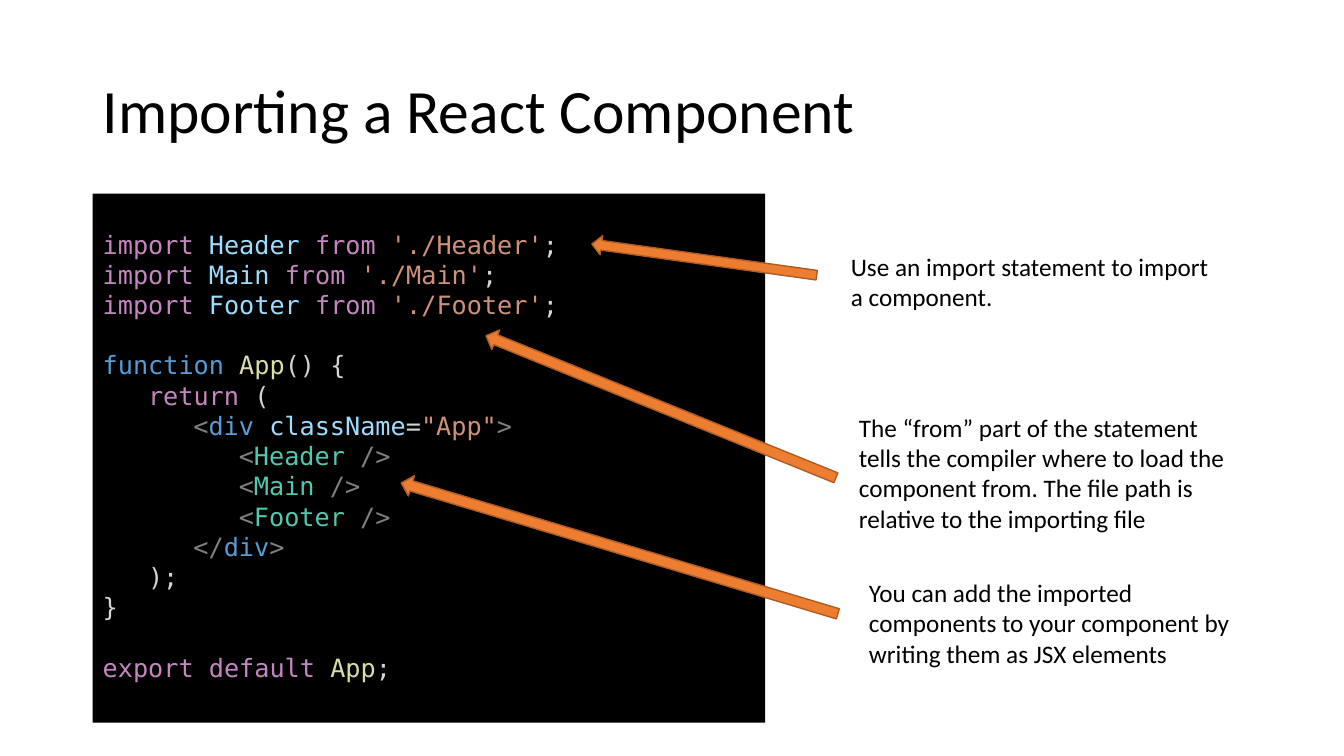
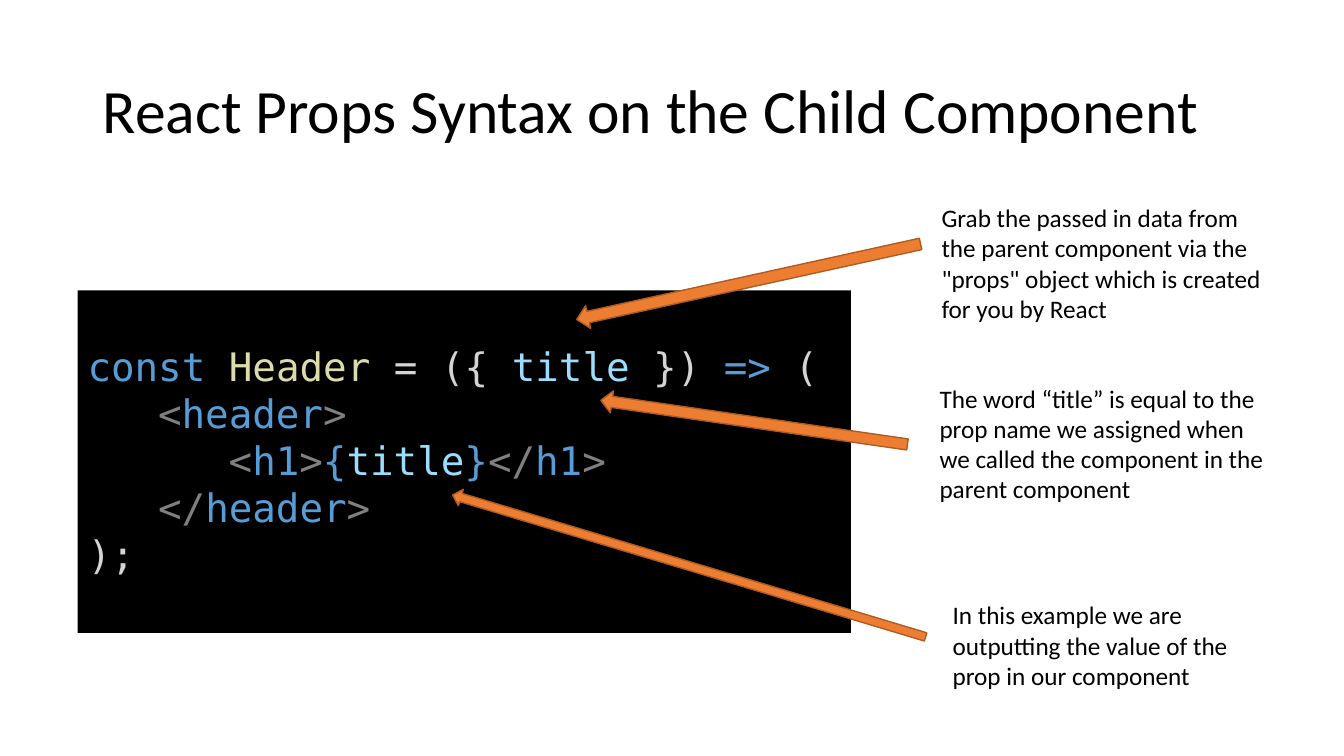
import math
from dataclasses import dataclass

from pptx import Presentation
from pptx.dml.color import RGBColor
from pptx.enum.shapes import MSO_SHAPE
from pptx.enum.text import MSO_ANCHOR, PP_ALIGN
from pptx.util import Emu, Pt

PX = 9144  # EMU in one px, 100 px to the inch
BLANK_LAYOUT = 6
RECTANGLE = MSO_SHAPE.RECTANGLE
RIGHT_ARROW = MSO_SHAPE.RIGHT_ARROW
TOP, MIDDLE = MSO_ANCHOR.TOP, MSO_ANCHOR.MIDDLE
LEFT = PP_ALIGN.LEFT


@dataclass(frozen=True)
class Theme:
    # Fonts and type sizes
    body_font: str = "Calibri"
    code_font: str = "DejaVu Sans Mono"
    title_size: int = 44
    note_size: int = 18
    code_leading: float = 1.2
    code_advance: float = 0.6
    # Slide colours
    ink: str = "000000"
    paper: str = "FFFFFF"
    code_panel: str = "000000"
    arrow_fill: str = "ED7D31"
    arrow_line: str = "AF5C24"
    # Syntax colours
    control: str = "C586C0"
    keyword: str = "569CD6"
    variable: str = "9CDCFE"
    string: str = "CE9178"
    function: str = "DCDCAA"
    component: str = "4EC9B0"
    bracket: str = "808080"
    plain: str = "D4D4D4"


THEME = Theme()


def px(length):
    return Emu(round(length * PX))


def color(value):
    return RGBColor.from_string(value)


def write(paragraph, text, *, font, size, ink, line_spacing=None,
          space_before=None, indent=0):
    """Add one run of text and set the format of its paragraph."""
    run = paragraph.add_run()
    run.text = text
    run.font.name = font
    run.font.size = Pt(size)
    run.font.color.rgb = color(ink)
    paragraph.alignment = LEFT
    if line_spacing:
        paragraph.line_spacing = line_spacing
    if space_before:
        paragraph.space_before = space_before
    if indent:
        paragraph._p.get_or_add_pPr().set("marL", str(Pt(indent)))


class Deck:
    def __init__(self, theme):
        self.theme = theme
        self.presentation = Presentation()
        self.presentation.slide_width = px(1333)
        self.presentation.slide_height = px(750)
        self.slide = None

    def add_slide(self, title):
        layout = self.presentation.slide_layouts[BLANK_LAYOUT]
        self.slide = self.presentation.slides.add_slide(layout)
        background = self.slide.background.fill
        background.solid()
        background.fore_color.rgb = color(self.theme.paper)
        self.text(92, 40, 1150, 145, title, self.theme.title_size,
                  anchor=MIDDLE, line_spacing=0.9)

    def text(self, left, top, width, height, text, size, anchor=TOP,
             line_spacing=None):
        box = self.slide.shapes.add_textbox(
            px(left), px(top), px(width), px(height))
        frame = box.text_frame
        frame.word_wrap = True
        frame.vertical_anchor = anchor
        write(frame.paragraphs[0], text, font=self.theme.body_font, size=size,
              ink=self.theme.ink, line_spacing=line_spacing)

    def shape(self, kind, left, top, width, height, fill, line=None):
        shape = self.slide.shapes.add_shape(
            kind, px(left), px(top), px(width), px(height))
        shape.shadow.inherit = False
        shape.fill.solid()
        shape.fill.fore_color.rgb = color(fill)
        if line:
            shape.line.color.rgb = color(line)
            shape.line.width = Pt(1)
        else:
            shape.line.fill.background()
        return shape

    def code(self, left, top, width, height, size, lines):
        """Each line is its depth, its coloured tokens and the lines left above."""
        theme = self.theme
        leading = Pt(size * theme.code_leading)
        panel = self.shape(RECTANGLE, left, top, width, height,
                           theme.code_panel)
        frame = panel.text_frame
        frame.word_wrap = True
        frame.vertical_anchor = TOP
        frame.margin_top = px(5) + leading
        for number, (depth, tokens, gap) in enumerate(lines):
            paragraph = frame.add_paragraph() if number else frame.paragraphs[0]
            for text, ink in tokens:
                write(paragraph, text, font=theme.code_font, size=size, ink=ink,
                      line_spacing=leading, space_before=gap * leading,
                      indent=depth * 3 * theme.code_advance * size)

    def arrow(self, tail, tip, thickness):
        across, down = tip[0] - tail[0], tip[1] - tail[1]
        length = math.hypot(across, down)
        arrow = self.shape(
            RIGHT_ARROW, (tail[0] + tip[0] - length) / 2,
            (tail[1] + tip[1] - thickness) / 2, length, thickness,
            self.theme.arrow_fill, self.theme.arrow_line)
        arrow.rotation = round(math.degrees(math.atan2(down, across)) % 360, 1)

    def callout(self, left, top, width, height, text, tail, tip, thickness):
        self.text(left, top, width, height, text, self.theme.note_size)
        self.arrow(tail, tip, thickness)


def line(depth, *tokens, gap=0):
    return depth, tokens, gap


def import_line(name):
    return line(0, ("import ", THEME.control), (f"{name} ", THEME.variable),
                ("from ", THEME.control), (f"'./{name}'", THEME.string),
                (";", THEME.plain))


def element_line(name):
    return line(3, ("<", THEME.bracket), (f"{name} ", THEME.component),
                ("/>", THEME.bracket))


def tag(name, opening="<"):
    return ((opening, THEME.bracket), (name, THEME.keyword),
            (">", THEME.bracket))


def build_import_slide(deck):
    deck.add_slide("Importing a React Component")
    # Code panel
    components = ("Header", "Main", "Footer")
    deck.code(92, 192, 667, 525, 18, [
        *map(import_line, components),
        line(0, ("function ", THEME.keyword), ("App", THEME.function),
             ("() {", THEME.plain), gap=1),
        line(1, ("return", THEME.control), (" (", THEME.plain)),
        line(2, ("<", THEME.bracket), ("div ", THEME.keyword),
             ("className", THEME.variable), ("=", THEME.plain),
             ('"App"', THEME.string), (">", THEME.bracket)),
        *map(element_line, components),
        line(2, *tag("div", "</")),
        line(1, (");", THEME.plain)),
        line(0, ("}", THEME.plain)),
        line(0, ("export default ", THEME.control), ("App", THEME.function),
             (";", THEME.plain), gap=1),
    ])
    # Notes with arrows
    deck.callout(834, 244, 385, 71,
                 "Use an import statement to import a component.",
                 (810, 273), (587, 242), 19)
    deck.callout(842, 404, 385, 131,
                 "The “from” part of the statement tells the compiler where to "
                 "load the component from. The file path is relative to the "
                 "importing file",
                 (829, 474), (482, 333), 21)
    deck.callout(852, 568, 385, 101,
                 "You can add the imported components to your component by "
                 "writing them as JSX elements",
                 (831, 609), (398, 479), 21)


def build_props_slide(deck):
    deck.add_slide("React Props Syntax on the Child Component")
    # Code panel
    deck.code(77, 288, 767, 340, 28, [
        line(0, ("const ", THEME.keyword), ("Header", THEME.function),
             (" = ({ ", THEME.plain), ("title", THEME.variable),
             (" }) ", THEME.plain), ("=>", THEME.keyword),
             (" (", THEME.plain)),
        line(1, *tag("header")),
        line(2, *tag("h1"), ("{", THEME.keyword), ("title", THEME.variable),
             ("}", THEME.keyword), *tag("h1", "</")),
        line(1, *tag("header", "</")),
        line(0, (");", THEME.plain)),
    ])
    # Notes with arrows
    deck.callout(924, 196, 343, 131,
                 "Grab the passed in data from the parent component via the "
                 '"props" object which is created for you by React',
                 (913, 242), (572, 317), 23)
    deck.callout(922, 375, 343, 131,
                 "The word “title” is equal to the prop name we assigned when "
                 "we called the component in the parent component",
                 (900, 441), (596, 397), 22)
    deck.callout(935, 590, 343, 101,
                 "In this example we are outputting the value of the prop in "
                 "our component",
                 (918, 632), (449, 491), 17)


def main():
    deck = Deck(THEME)
    build_import_slide(deck)
    build_props_slide(deck)
    deck.presentation.save("out.pptx")


if __name__ == "__main__":
    main()
